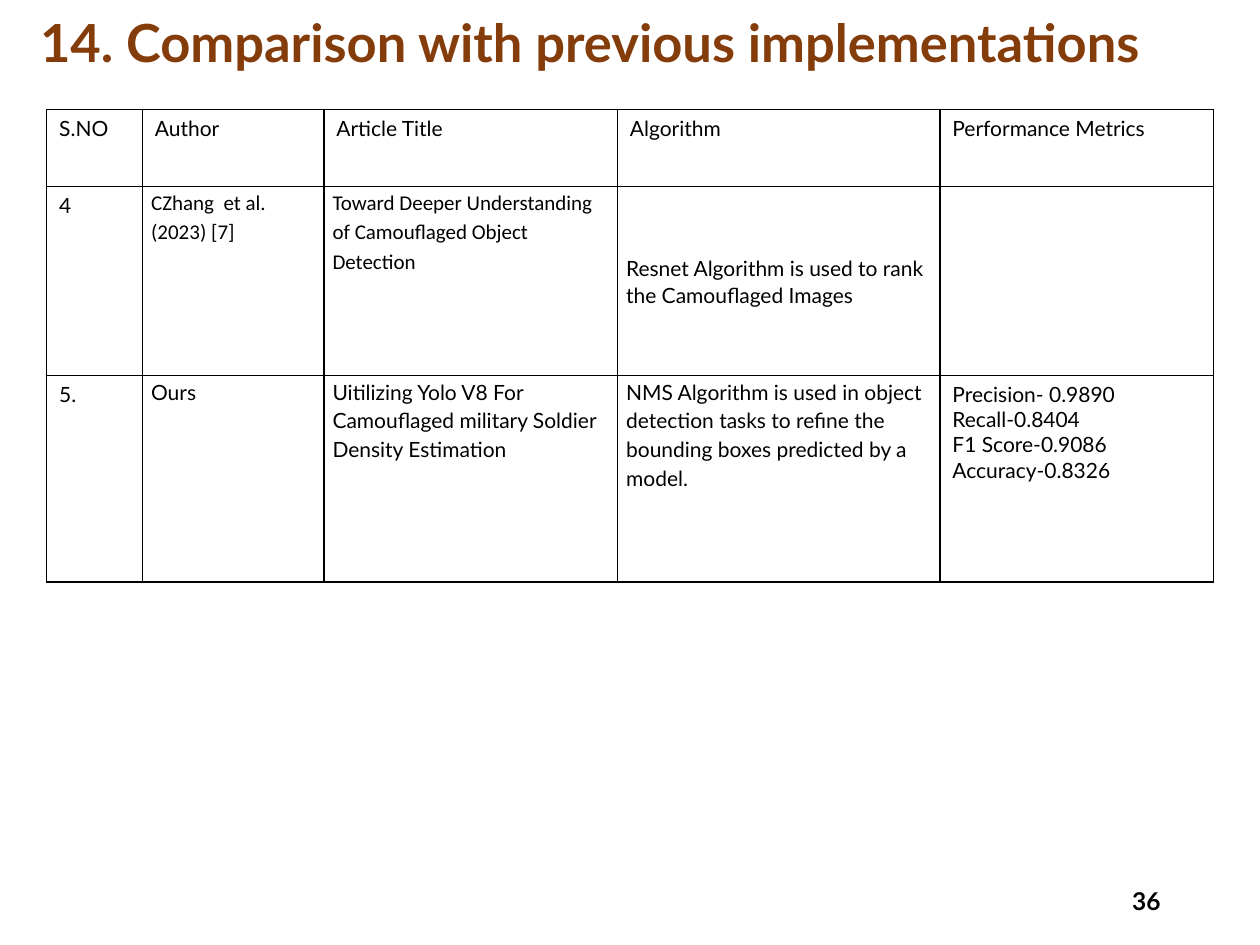
import pptx
import pptx.dml.color
import pptx.enum.text
import pptx.util
from lxml import etree
from pptx.oxml.ns import qn

Inches, Pt = pptx.util.Inches, pptx.util.Pt
ANCHOR = pptx.enum.text.MSO_ANCHOR
ALIGN = pptx.enum.text.PP_ALIGN
BROWN = pptx.dml.color.RGBColor(0x84, 0x3C, 0x0B)
BLACK = pptx.dml.color.RGBColor(0, 0, 0)

deck = pptx.Presentation()
deck.slide_width, deck.slide_height = Inches(10), Inches(7.5)
slide = deck.slides.add_slide(deck.slide_layouts[6])


def style(para, size, color=BLACK, face="Lato", bold=False):
    font = para.font
    font.size, font.name, font.bold = Pt(size), face, bold
    font.color.rgb = color


def label(text, left, top, width, height, size, color):
    box = slide.shapes.add_textbox(
        Inches(left), Inches(top), Inches(width), Inches(height))
    frame = box.text_frame
    frame.word_wrap = True
    frame.vertical_anchor = ANCHOR.MIDDLE
    para = frame.paragraphs[0]
    para.text = text
    style(para, size, color, bold=True)
    return para


# Title and page number
title = label("14. Comparison with previous implementations",
              0.22, -0.05, 9.56, 0.82, 30, BROWN)
title.line_spacing = 0.9
page = label("36", 7.06, 6.95, 2.25, 0.4, 14, BLACK)
page.alignment = ALIGN.RIGHT

# Comparison table
widths = [0.76, 1.44, 2.33, 2.56, 2.17]
heights = [0.61, 1.5, 1.64]
rows = [
    ["S.NO", "Author", "Article Title", "Algorithm", "Performance Metrics"],
    ["4", "CZhang  et al. (2023) [7]",
     "Toward Deeper Understanding of Camouflaged Object Detection",
     "Resnet Algorithm is used to rank the Camouflaged Images", ""],
    ["5.", "Ours",
     "Uitilizing Yolo V8 For Camouflaged military Soldier Density Estimation",
     "NMS Algorithm is used in object detection tasks to refine the "
     "bounding boxes predicted by a model.",
     "Precision- 0.9890\nRecall-0.8404\nF1 Score-0.9086\nAccuracy-0.8326"],
]
table = slide.shapes.add_table(
    len(rows), len(widths), Inches(0.37), Inches(0.87),
    Inches(sum(widths)), Inches(sum(heights))).table
table.first_row = table.horz_banding = False
for col, width in zip(table.columns, widths):
    col.width = Inches(width)
for row, height in zip(table.rows, heights):
    row.height = Inches(height)

for r, texts in enumerate(rows):
    for c, text in enumerate(texts):
        cell = table.cell(r, c)
        cell.text = text
        body = r > 0 and 1 <= c <= 3
        ranked = (r, c) == (1, 3)
        if body:
            cell.margin_left = cell.margin_right = Inches(0.07)
            cell.margin_top = cell.margin_bottom = 0
        if ranked:
            cell.vertical_anchor = ANCHOR.MIDDLE
        face = "Calibri" if r == 1 and c in (1, 2) else "Lato"
        for para in cell.text_frame.paragraphs:
            style(para, 12, face=face)
            if ranked:
                para.line_spacing = 1.07
            elif body:
                para.line_spacing = 1.15
                para.space_after = Pt(8)

        # Thin black borders go ahead of the empty fill
        props = cell._tc.get_or_add_tcPr()
        for side in ("a:lnL", "a:lnR", "a:lnT", "a:lnB"):
            line = etree.SubElement(props, qn(side), w=str(Pt(1)))
            fill = etree.SubElement(line, qn("a:solidFill"))
            etree.SubElement(fill, qn("a:srgbClr"), val=str(BLACK))
        cell.fill.background()

deck.save("out.pptx")
